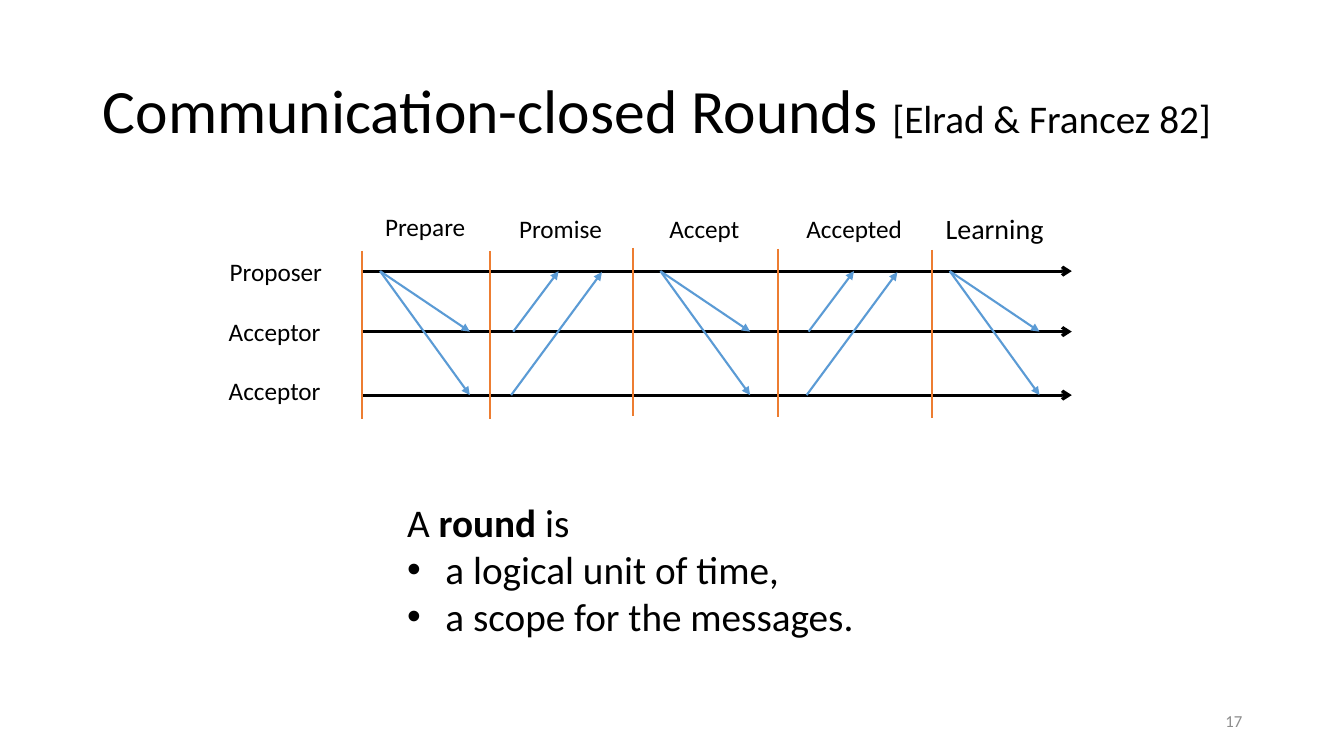
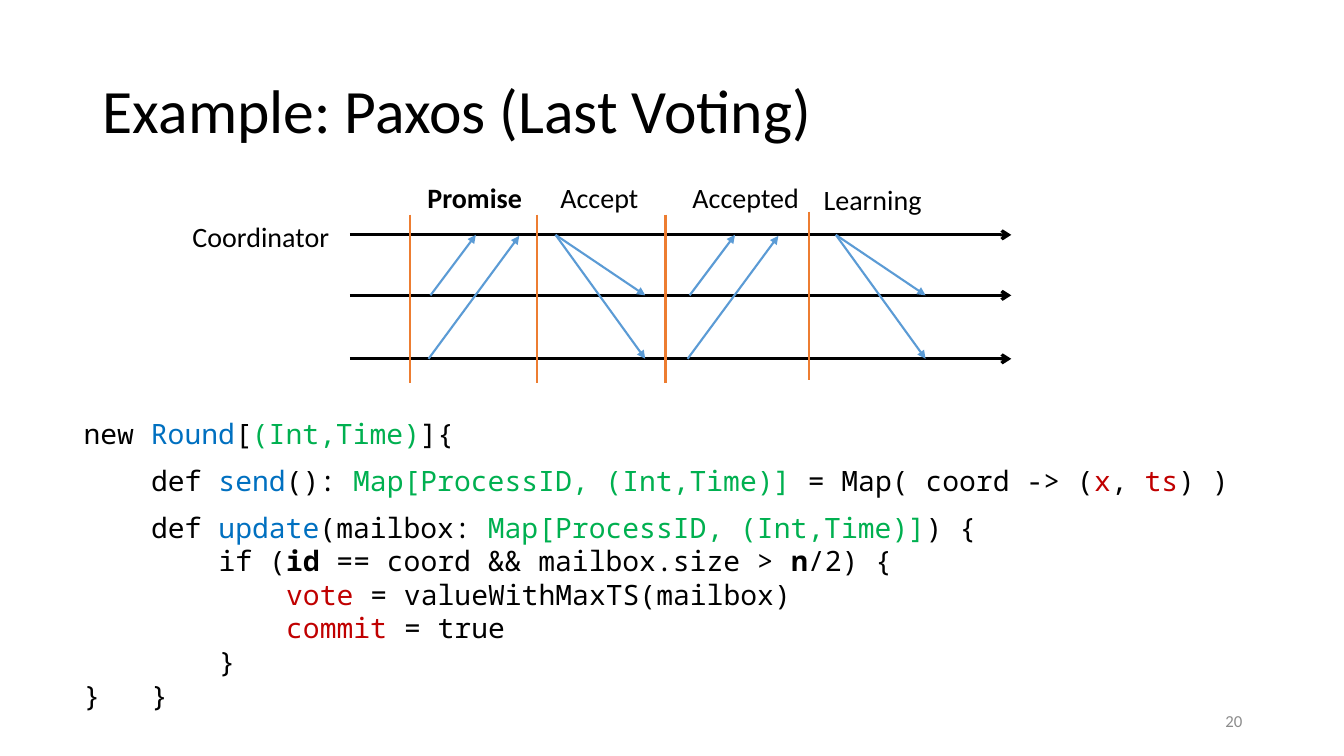
import lxml.etree
import pptx
import pptx.dml.color
import pptx.enum.shapes
import pptx.enum.text
import pptx.oxml.ns
import pptx.util

Inches = pptx.util.Inches
Pt = pptx.util.Pt
qn = pptx.oxml.ns.qn
Fit = pptx.enum.text.MSO_AUTO_SIZE
Align = pptx.enum.text.PP_ALIGN
Anchor = pptx.enum.text.MSO_ANCHOR

BLACK, GREY = "000000", "8C8C8C"
MESSAGE, BOUNDARY = "5B9BD5", "ED7D31"
NAME, TYPE, STATE = "0070C0", "00B050", "C00000"
SANS, MONO = "Calibri", "Noto Sans Mono"
LANE_OFFSETS = [0, 0.6, 1.23]
BOUNDARY_HEIGHT = 1.67
CODE_STEP = 0.67


def write(paragraph, text, size=20, font=SANS, color=BLACK, bold=False):
    run = paragraph.add_run()
    run.text = text
    run.font.size = Pt(size)
    run.font.name = font
    run.font.bold = bold
    run.font.color.rgb = pptx.dml.color.RGBColor.from_string(color)


def connect(slide, start, end, color, width, head=None):
    line = slide.shapes.add_connector(
        pptx.enum.shapes.MSO_CONNECTOR.STRAIGHT,
        *[Inches(value) for value in (*start, *end)])
    line.line.color.rgb = pptx.dml.color.RGBColor.from_string(color)
    line.line.width = Pt(width)
    properties = line._element.spPr
    if head:
        lxml.etree.SubElement(properties.find(qn("a:ln")), qn("a:tailEnd"), type=head)
    lxml.etree.SubElement(properties, qn("a:effectLst"))


rounds = {
    "title": [("Communication-closed Rounds ", 44), ("[Elrad & Francez 82]", 28)],
    "number": "17",
    "lane_top": 2.69,
    "lane_span": (3.59, 10.63),
    "requests": [3.77, 6.55, 9.42],
    "replies": [5.07, 8],
    "boundaries": [(3.59, 2.49), (4.86, 2.49), (6.28, 2.46), (7.72, 2.47), (9.24, 2.48)],
    "labels": [
        ("Proposer", 2.18, 2.49, 1.13, 18, False),
        ("Acceptor", 2.17, 3.09, 1.12, 18, False),
        ("Acceptor", 2.17, 3.67, 1.12, 18, False),
        ("Prepare", 3.72, 2.05, 1.01, 18, False),
        ("Promise", 5.05, 2.07, 1.03, 18, False),
        ("Accept", 6.54, 2.07, 0.9, 18, False),
        ("Accepted", 7.9, 2.07, 1.16, 18, False),
        ("Learning", 9.28, 2.05, 1.18, 20, False),
    ],
    "body_box": (3.94, 4.89, 4.67, 1.51),
    "body_wrap": False,
    "body_format": {"size": 28},
    "body": [
        {"runs": [("A ", {}), ("round", {"bold": True}), (" is", {})]},
        {"bullet": True, "runs": [("a logical unit of time,", {})]},
        {"bullet": True, "runs": [("a scope for the messages.", {})]},
    ],
}

paxos = {
    "title": [("Example: Paxos (Last Voting)", 44)],
    "number": "20",
    "lane_top": 2.33,
    "lane_span": (3.47, 10.03),
    "requests": [5.51, 8.29],
    "replies": [4.25, 6.82],
    "boundaries": [(4.07, 2.13), (5.33, 2.13), (6.6, 2.13), (8.02, 2.1)],
    "labels": [
        ("Coordinator", 1.81, 2.13, 1.57, 20, False),
        ("Promise", 4.14, 1.74, 1.15, 20, True),
        ("Accept", 5.46, 1.74, 0.98, 20, False),
        ("Accepted", 6.77, 1.74, 1.27, 20, False),
        ("Learning", 8.07, 1.76, 1.18, 20, False),
    ],
    "body_box": (0.73, 4.08, 11.88, 3.06),
    "body_wrap": True,
    "body_format": {"font": MONO},
    "body": [
        {"runs": [("new ", {}), ("Round", {"color": NAME}), ("[", {}),
                  ("(Int,Time)", {"color": TYPE}), ("]{", {})]},
        {"depth": 1, "before": 9.5, "runs": [
            ("def ", {}), ("send", {"color": NAME}), ("(): ", {}),
            ("Map[ProcessID, (Int,Time)]", {"color": TYPE}),
            (" = Map( coord -> (", {}), ("x", {"color": STATE}), (", ", {}),
            ("ts", {"color": STATE}), (") )", {})]},
        {"depth": 1, "before": 9.5, "runs": [
            ("def ", {}), ("update", {"color": NAME}), ("(mailbox: ", {}),
            ("Map[ProcessID, (Int,Time)]", {"color": TYPE}), (") {", {})]},
        {"depth": 2, "runs": [
            ("if (", {}), ("id", {"bold": True}), (" == coord && mailbox.size > ", {}),
            ("n", {"bold": True}), ("/2) {", {})]},
        {"depth": 3, "runs": [("vote ", {"color": STATE}), ("= valueWithMaxTS(mailbox)", {})]},
        {"depth": 3, "runs": [("commit ", {"color": STATE}), ("= true", {})]},
        {"depth": 2, "runs": [("}", {})]},
        {"tab": True, "runs": [("}\t}", {})]},
    ],
}

deck = pptx.Presentation()
deck.slide_width = Inches(13.33)
deck.slide_height = Inches(7.5)

for content in (rounds, paxos):
    slide = deck.slides.add_slide(deck.slide_layouts[5])

    title = slide.shapes.title
    title.left, title.top = Inches(0.92), Inches(0.4)
    title.width, title.height = Inches(11.5), Inches(1.45)
    title.text_frame.auto_size = Fit.NONE
    title.text_frame.word_wrap = True
    title.text_frame.vertical_anchor = Anchor.MIDDLE
    heading = title.text_frame.paragraphs[0]
    heading.alignment = Align.LEFT
    heading.line_spacing = 0.9
    for text, size in content["title"]:
        write(heading, text, size=size)

    top, middle, bottom = [content["lane_top"] + offset for offset in LANE_OFFSETS]
    lane_start, lane_end = content["lane_span"]
    for lane in (top, middle, bottom):
        connect(slide, (lane_start, lane), (lane_end, lane), BLACK, 2.25, "arrow")
    for x in content["requests"]:
        for lane in (middle, bottom):
            connect(slide, (x, top), (x + 0.89, lane), MESSAGE, 1.5, "triangle")
    for x in content["replies"]:
        connect(slide, (x + 0.02, middle), (x + 0.47, top), MESSAGE, 1.5, "triangle")
        connect(slide, (x, bottom), (x + 0.9, top + 0.01), MESSAGE, 1.5, "triangle")
    for x, y in content["boundaries"]:
        connect(slide, (x, y), (x, y + BOUNDARY_HEIGHT), BOUNDARY, 1.5)

    for text, left, label_top, width, size, bold in content["labels"]:
        label = slide.shapes.add_textbox(
            Inches(left), Inches(label_top), Inches(width), Inches(size * 0.022)).text_frame
        label.word_wrap = False
        label.auto_size = Fit.SHAPE_TO_FIT_TEXT
        write(label.paragraphs[0], text, size=size, bold=bold)

    body = slide.shapes.add_textbox(*[Inches(value) for value in content["body_box"]]).text_frame
    body.word_wrap = content["body_wrap"]
    body.auto_size = Fit.SHAPE_TO_FIT_TEXT
    for index, row in enumerate(content["body"]):
        paragraph = body.add_paragraph() if index else body.paragraphs[0]
        paragraph.space_before = Pt(row.get("before", 0))
        properties = paragraph._p.get_or_add_pPr()
        if "depth" in row:
            properties.set("marL", str(Inches(CODE_STEP * row["depth"])))
            properties.set("indent", "0")
        if "bullet" in row:
            properties.set("marL", str(Inches(0.38)))
            properties.set("indent", str(Inches(-0.38)))
            lxml.etree.SubElement(properties, qn("a:buFont"), typeface="Arial")
            lxml.etree.SubElement(properties, qn("a:buChar"), char="•")
        if "tab" in row:
            stops = lxml.etree.SubElement(properties, qn("a:tabLst"))
            lxml.etree.SubElement(stops, qn("a:tab"), pos=str(Inches(CODE_STEP)), algn="l")
        for text, emphasis in row["runs"]:
            write(paragraph, text, **content["body_format"], **emphasis)

    footer = slide.shapes.add_textbox(
        Inches(9.42), Inches(6.95), Inches(3), Inches(0.4)).text_frame
    footer.word_wrap = True
    footer.vertical_anchor = Anchor.MIDDLE
    footer.paragraphs[0].alignment = Align.RIGHT
    write(footer.paragraphs[0], content["number"], size=12, color=GREY)

deck.save("out.pptx")
